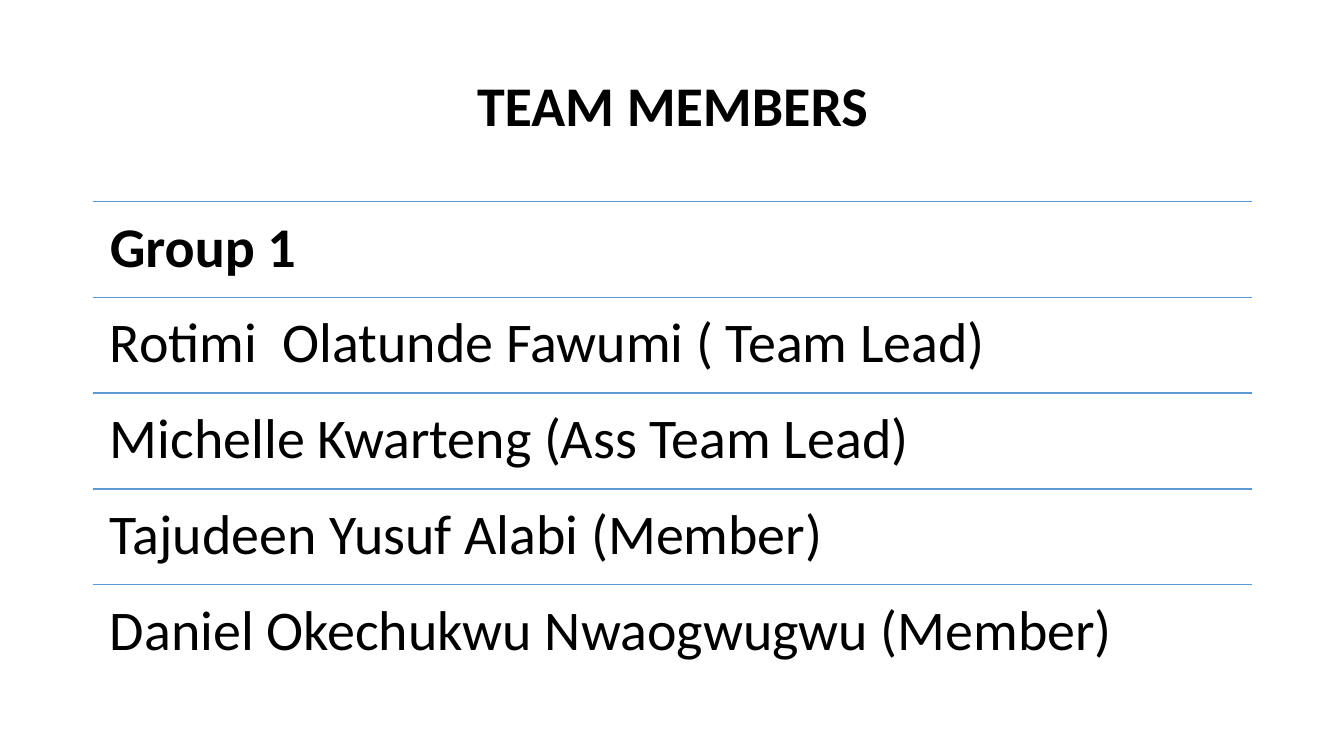
"""Build the team members slide."""
from pptx import Presentation, util as u
from pptx.dml.color import RGBColor
from pptx.enum import shapes, text
from pptx.oxml.ns import qn
from lxml import etree

TITLE = "TEAM MEMBERS"
ROWS = [
    ("Group 1", True),
    ("Rotimi  Olatunde Fawumi ( Team Lead)", False),
    ("Michelle Kwarteng (Ass Team Lead)", False),
    ("Tajudeen Yusuf Alabi (Member)", False),
    ("Daniel Okechukwu Nwaogwugwu (Member)", False),
]
COLOURS = {"ink": "000000", "rule": "5B9BD5"}
LEFT, WIDTH = 0.92, 11.5
TITLE_TOP, TITLE_HEIGHT = 0.35, 1.45
LIST_TOP, ROW_HEIGHT = 2, 0.95


def add_text(page, words, top, height, bold, inset, anchor, align):
    box = page.shapes.add_textbox(*map(u.Inches, (LEFT, top, WIDTH, height)))
    frame = box.text_frame
    frame.word_wrap = True
    frame.vertical_anchor = anchor
    frame.margin_left = frame.margin_right = u.Inches(inset)
    frame.margin_top = frame.margin_bottom = u.Inches(inset)
    para = frame.paragraphs[0]
    para.alignment = align
    para.line_spacing = 0.9
    span = para.add_run()
    span.text = words
    span.font.name = "Calibri"
    span.font.size = u.Pt(40)
    span.font.bold = bold
    span.font.color.rgb = RGBColor.from_string(COLOURS["ink"])


def add_rule(page, top):
    rule = page.shapes.add_connector(
        shapes.MSO_CONNECTOR.STRAIGHT,
        *map(u.Inches, (LEFT, top, LEFT + WIDTH, top)))
    rule.line.color.rgb = RGBColor.from_string(COLOURS["rule"])
    rule.line.width = u.Pt(1)
    etree.SubElement(rule.element.spPr, qn("a:effectLst"))


def main():
    deck = Presentation()
    deck.slide_width, deck.slide_height = u.Inches(13.33), u.Inches(7.5)
    page = deck.slides.add_slide(deck.slide_layouts[6])
    add_text(page, TITLE, TITLE_TOP, TITLE_HEIGHT, True, 0.1,
             text.MSO_ANCHOR.MIDDLE, text.PP_ALIGN.CENTER)
    for index, (words, bold) in enumerate(ROWS):
        top = LIST_TOP + index * ROW_HEIGHT
        add_rule(page, top)
        add_text(page, words, top, ROW_HEIGHT, bold, 0.17,
                 text.MSO_ANCHOR.TOP, text.PP_ALIGN.LEFT)
    deck.save("out.pptx")


if __name__ == "__main__":
    main()
